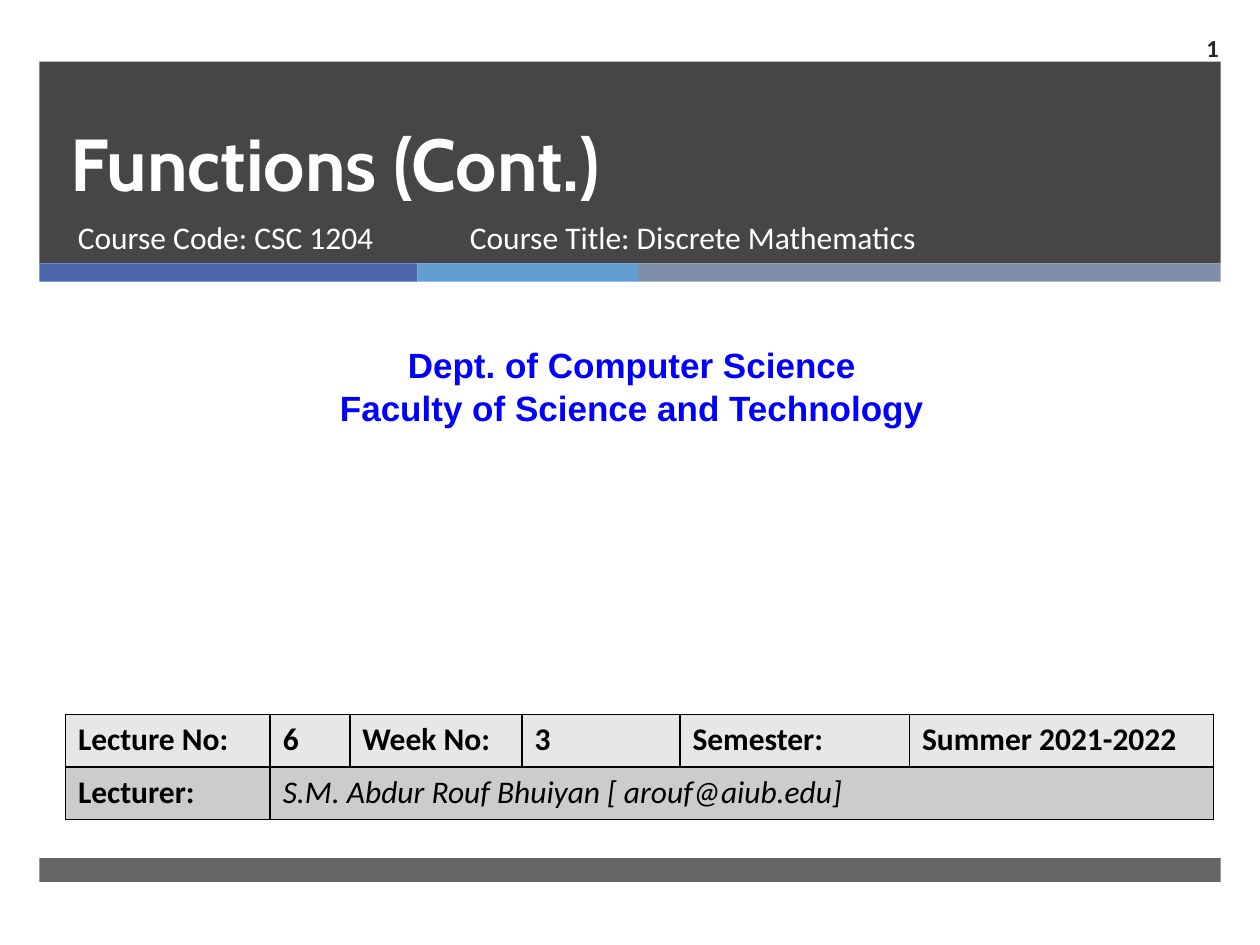
from pptx import Presentation
from pptx.dml.color import RGBColor
from pptx.enum.shapes import MSO_SHAPE as Shape
from pptx.enum.text import MSO_ANCHOR as Anchor, PP_ALIGN as Align
from pptx.oxml.ns import qn
from pptx.util import Pt
from lxml.etree import SubElement

WHITE = RGBColor(255, 255, 255)
BLACK = RGBColor(0, 0, 0)
DARK = RGBColor(0x26, 0x26, 0x26)
NAVY = RGBColor(0x4A, 0x66, 0xAC)
SKY = RGBColor(0x62, 0x9D, 0xD1)
STEEL = RGBColor(0x7F, 0x8F, 0xA9)
BLUE = RGBColor(0, 0, 255)
LIGHT_GREY = RGBColor(0xE7, 0xE7, 0xE7)
MID_GREY = RGBColor(0xCC, 0xCC, 0xCC)


def set_font(para, name, size, color, bold=False, italic=False):
    font = para.font
    font.name, font.size, font.bold, font.italic = name, Pt(size), bold, italic
    font.color.rgb = color


def add_text(lines, left, top, width, height, font, size, color, bold=False,
             align=Align.LEFT, anchor=Anchor.TOP):
    box = page.shapes.add_textbox(Pt(left), Pt(top), Pt(width), Pt(height))
    frame = box.text_frame
    frame.word_wrap = True
    frame.vertical_anchor = anchor
    frame.text = "\n".join(lines)
    for para in frame.paragraphs:
        para.alignment = align
        set_font(para, font, size, color, bold)


deck = Presentation()
deck.slide_width, deck.slide_height = Pt(720), Pt(540)
page = deck.slides.add_slide(deck.slide_layouts[5])

# Header band, three-colour strip and footer band
bars = [
    (22.5, 35.2, 675, 115.3, DARK, 85),
    (22.5, 150.5, 216, 10.5, NAVY, 100),
    (238.5, 150.5, 126, 10.5, SKY, 100),
    (364.5, 150.5, 333, 10.5, STEEL, 100),
    (22.5, 490.3, 675, 13.7, DARK, 70),
]
for left, top, width, height, color, opacity in bars:
    bar = page.shapes.add_shape(Shape.RECTANGLE, Pt(left), Pt(top), Pt(width), Pt(height))
    bar.shadow.inherit = False
    bar.line.fill.background()
    bar.fill.solid()
    bar.fill.fore_color.rgb = color
    if opacity < 100:
        tint = bar._element.spPr.find(qn("a:solidFill"))[0]
        SubElement(tint, qn("a:alpha"), val=str(opacity * 1000))

# Title, brought in front of the header band
title = page.shapes.title
page.shapes._spTree.append(title._element)
title.left, title.top, title.width, title.height = Pt(33), Pt(35.2), Pt(615), Pt(86)
title.text_frame.text = "Functions (Cont.)"
title.text_frame.word_wrap = True
title.text_frame.vertical_anchor = Anchor.BOTTOM
heading = title.text_frame.paragraphs[0]
heading.alignment = Align.LEFT
heading.line_spacing = Pt(46)
set_font(heading, "Cabin", 42, WHITE, bold=True)

# Course details, department and page number
add_text(["Course Code: CSC 1204"], 37.4, 121, 220, 38, "Calibri", 18, WHITE)
add_text(["Course Title: Discrete Mathematics"], 261.4, 121.3, 328, 38, "Calibri", 18, WHITE)
add_text(["Dept. of Computer Science", "Faculty of Science and Technology"],
         5.8, 193, 710.6, 55.7, "Arial", 20, BLUE, bold=True, align=Align.CENTER)
add_text(["1"], 653.8, 13, 49.7, 28, "Calibri", 14, DARK, bold=True,
         align=Align.RIGHT, anchor=Anchor.MIDDLE)

# Lecture table
rows = [
    ["Lecture No:", "6", "Week No:", "3", "Semester:", "Summer 2021-2022"],
    ["Lecturer:", "S.M. Abdur Rouf Bhuiyan [ arouf@aiub.edu]", "", "", "", ""],
]
widths = [117, 45.5, 98.5, 90.2, 131.2, 173.6]
table = page.shapes.add_table(2, 6, Pt(37.4), Pt(408.2), Pt(sum(widths)), Pt(60)).table
for column, width in zip(table.columns, widths):
    column.width = Pt(width)
for r, (words, shade) in enumerate(zip(rows, [LIGHT_GREY, MID_GREY])):
    table.rows[r].height = Pt(30)
    for c, word in enumerate(words):
        cell = table.cell(r, c)
        cell.text = word
        is_name = r == 1 and c > 0
        set_font(cell.text_frame.paragraphs[0], "Calibri", 18, BLACK,
                 bold=not is_name, italic=is_name)
        props = cell._tc.get_or_add_tcPr()
        for side in ("a:lnL", "a:lnR", "a:lnT", "a:lnB"):
            edge = SubElement(props, qn(side), w=str(Pt(1)))
            SubElement(SubElement(edge, qn("a:solidFill")), qn("a:srgbClr"), val=str(BLACK))
        cell.fill.solid()
        cell.fill.fore_color.rgb = shade
table.cell(1, 1).merge(table.cell(1, 5))

deck.save("out.pptx")
